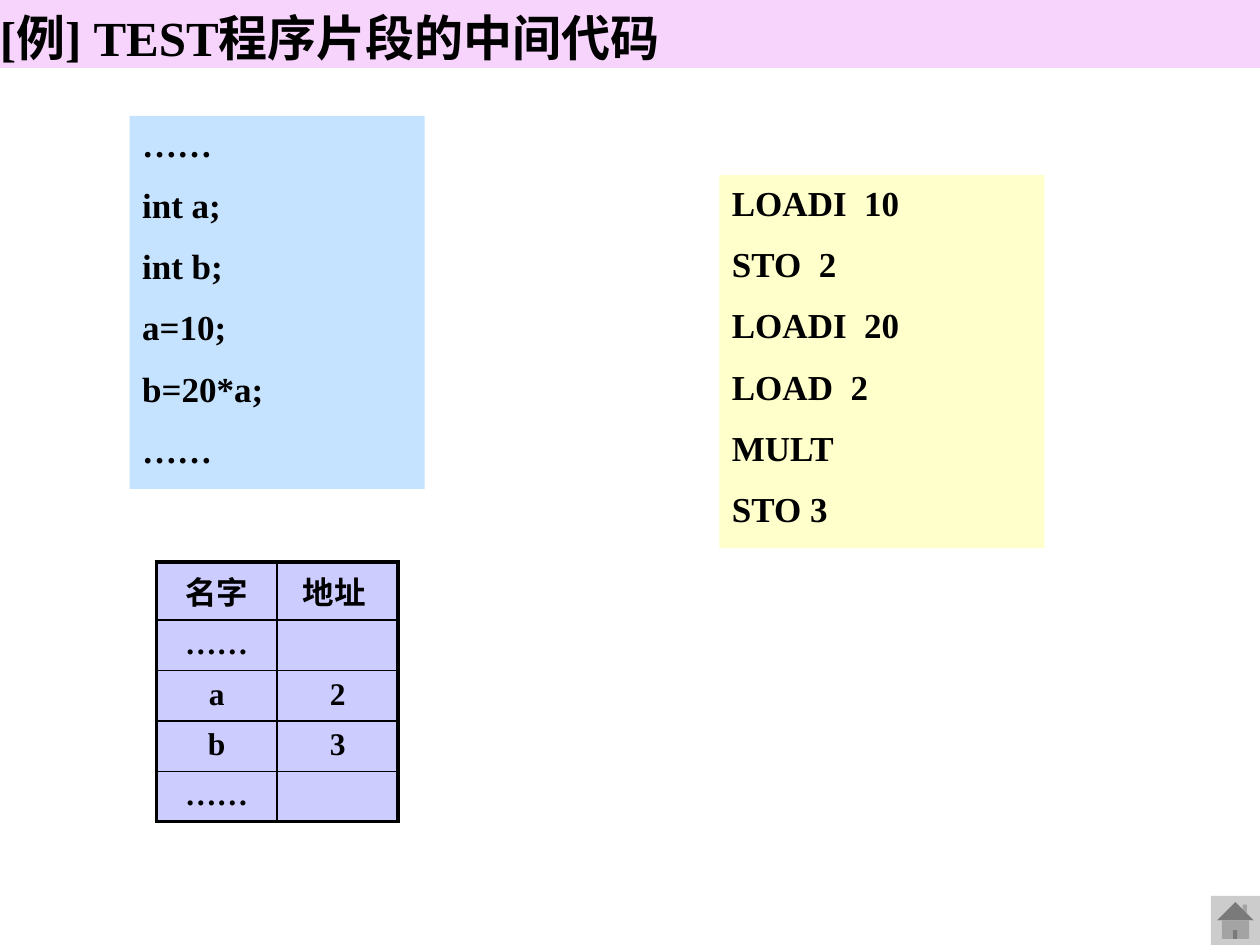
from dataclasses import dataclass

from lxml.etree import SubElement
from pptx import Presentation
from pptx.dml.color import RGBColor
from pptx.enum.shapes import MSO_SHAPE as Shape
from pptx.enum.text import MSO_ANCHOR as Anchor, PP_ALIGN as Align
from pptx.oxml.ns import qn
from pptx.util import Emu, Inches, Pt

BLACK = RGBColor(0x00, 0x00, 0x00)
PINK = RGBColor(0xF7, 0xD4, 0xFC)
BLUE = RGBColor(0xC5, 0xE2, 0xFF)
YELLOW = RGBColor(0xFF, 0xFF, 0xCC)
LILAC = RGBColor(0xCC, 0xCC, 0xFF)
GREY = RGBColor(0xCC, 0xCC, 0xCC)
FONT = "Times New Roman"
UNIT = Inches(0.1)  # the slide is a grid of 100 columns by 75 rows
COLUMNS, ROWS = 100, 75
THICK, THIN = Pt(2.25), Pt(1)


@dataclass(frozen=True)
class Area:
    column: float
    row: float
    columns: float
    rows: float

    def lengths(self) -> tuple[Emu, ...]:
        return tuple(Emu(round(n * UNIT)) for n in
                     (self.column, self.row, self.columns, self.rows))


@dataclass(frozen=True)
class Listing:
    area: Area
    color: RGBColor
    lines: tuple[str, ...]


TITLE = "[例] TEST程序片段的中间代码"
LISTINGS = (
    Listing(Area(10.3, 9.2, 23.4, 29.6), BLUE,
            ("……", "int a;", "int b;", "a=10;", "b=20*a;", "……")),
    Listing(Area(57.1, 13.9, 25.8, 29.6), YELLOW,
            ("LOADI  10", "STO  2", "LOADI  20", "LOAD  2", "MULT", "STO 3")),
)
SYMBOLS = (("名字", "地址 "), ("……", ""), ("a", "2"), ("b", "3"), ("……", ""))
SYMBOLS_AREA = Area(12.4, 44.6, 19.2, 20.4)
HEADER_ROWS, ENTRY_ROWS = 4.4, 4


def style(paragraph, size: int) -> None:
    font = paragraph.font
    font.name, font.size, font.bold = FONT, Pt(size), True
    font.color.rgb = BLACK


def add_panel(slide, area: Area, color: RGBColor, kind=Shape.RECTANGLE):
    panel = slide.shapes.add_shape(kind, *area.lengths())
    panel.shadow.inherit = False
    panel.fill.solid()
    panel.fill.fore_color.rgb = color
    panel.line.fill.background()
    return panel


def write_lines(panel, lines: tuple[str, ...], size: int):
    frame = panel.text_frame
    frame.word_wrap = True
    frame.vertical_anchor = Anchor.TOP
    for number, line in enumerate(lines):
        paragraph = frame.add_paragraph() if number else frame.paragraphs[0]
        paragraph.text = line
        paragraph.alignment = Align.LEFT
        if number:
            paragraph.space_before = Pt(size * 0.55)
        style(paragraph, size)
    return frame


def add_title(slide) -> None:
    band = add_panel(slide, Area(0, 0, COLUMNS, 5.4), PINK)
    frame = write_lines(band, (TITLE,), 28)
    frame.margin_left, frame.margin_right = 0, Inches(0.04)
    frame.margin_top = frame.margin_bottom = Inches(0.01)
    frame.paragraphs[0].line_spacing = 1.1


def add_border(cell, side: str, width: Pt) -> None:
    line = SubElement(cell._tc.get_or_add_tcPr(), qn(f"a:ln{side}"), w=str(width))
    fill = SubElement(line, qn("a:solidFill"))
    SubElement(fill, qn("a:srgbClr"), val=str(BLACK))


def add_symbol_table(slide) -> None:
    last_row, last_column = len(SYMBOLS) - 1, len(SYMBOLS[0]) - 1
    table = slide.shapes.add_table(last_row + 1, last_column + 1,
                                   *SYMBOLS_AREA.lengths()).table
    table.first_row = table.horz_banding = False
    for r, names in enumerate(SYMBOLS):
        table.rows[r].height = Emu(round((ENTRY_ROWS if r else HEADER_ROWS) * UNIT))
        for c, name in enumerate(names):
            cell = table.cell(r, c)
            # Thick lines run round the outside of the table only
            outer = {"L": c == 0, "R": c == last_column,
                     "T": r == 0, "B": r == last_row}
            for side, is_outer in outer.items():
                add_border(cell, side, THICK if is_outer else THIN)
            cell.fill.solid()
            cell.fill.fore_color.rgb = LILAC
            cell.text = name
            paragraph = cell.text_frame.paragraphs[0]
            paragraph.alignment = Align.CENTER
            style(paragraph, 18)


def main() -> None:
    deck = Presentation()
    deck.slide_width, deck.slide_height = COLUMNS * UNIT, ROWS * UNIT
    slide = deck.slides.add_slide(deck.slide_layouts[6])

    # Source program and its intermediate code, around the symbol table
    source, intermediate = LISTINGS
    write_lines(add_panel(slide, source.area, source.color), source.lines, 20)
    add_symbol_table(slide)
    write_lines(add_panel(slide, intermediate.area, intermediate.color),
                intermediate.lines, 20)

    add_title(slide)

    # Home button in the bottom right corner
    side = 3.9
    add_panel(slide, Area(COLUMNS - side, ROWS - side, side, side), GREY,
              Shape.ACTION_BUTTON_HOME)
    deck.save("out.pptx")


if __name__ == "__main__":
    main()
